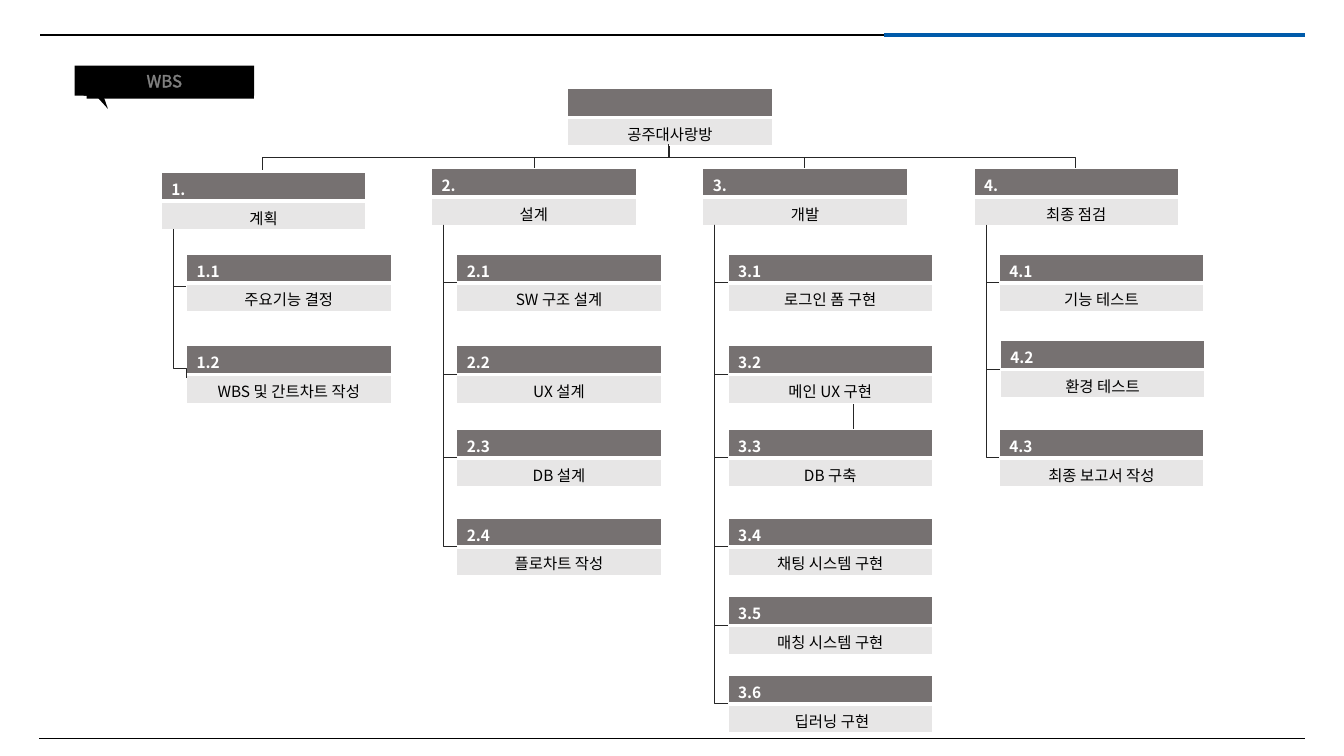
import pptx
import pptx.util
import pptx.dml.color
import pptx.enum.shapes
import pptx.enum.text
import pptx.oxml.ns
from lxml import etree

Inches = pptx.util.Inches
qn = pptx.oxml.ns.qn

FONT = "Noto Sans CJK KR"
BLACK, WHITE, BLUE = "000000", "FFFFFF", "005BAA"
HEAD_GRAY, NAME_GRAY, LINK_GRAY = "767171", "E7E6E6", "262626"

CARD_WIDTH, ROW_HEIGHT = 2.03, 0.285
CHILD_INDENT, TRUNK_OFFSET = 0.25, 0.12
CHILD_TOPS = [2.52, 3.43, 4.26, 5.14, 5.92, 6.70]

# Number, name, left, top, drop from a child's top to its link, children
BRANCHES = [
    ("1", "계획", 1.60, 1.71, 0.32, ["주요기능 결정", "WBS 및 간트차트 작성"]),
    ("2", "설계", 4.28, 1.67, 0.28,
     ["SW 구조 설계", "UX 설계", "DB 설계", "플로차트 작성"]),
    ("3", "개발", 6.97, 1.67, 0.28,
     ["로그인 폼 구현", "메인 UX 구현", "DB 구축", "채팅 시스템 구현",
      "매칭 시스템 구현", " 딥러닝 구현"]),
    ("4", "최종 점검", 9.66, 1.67, 0.28,
     ["기능 테스트", "환경 테스트", "최종 보고서 작성"]),
]
SHIFTED_CARDS = {"4.2": (9.92, 3.38)}
CHAINED_CARDS = {"1.2", "3.6", "4.2", "4.3"}  # linked from the card above
STEPPED_LINKS = {"1.2": 0.9}


def color(hex_text):
    return pptx.dml.color.RGBColor.from_string(hex_text)


def write(text_frame, text, size=11, fill=BLACK, bold=False, align="LEFT"):
    paragraph = text_frame.paragraphs[0]
    paragraph.alignment = getattr(pptx.enum.text.PP_ALIGN, align)
    if not text:
        etree.SubElement(paragraph._p, qn("a:endParaRPr"), sz=str(size * 100))
        return None
    run = paragraph.add_run()
    run.text = text
    run.font.size = pptx.util.Pt(size)
    run.font.bold = bold
    run.font.color.rgb = color(fill)
    run.font.name = FONT
    etree.SubElement(run._r.get_or_add_rPr(), qn("a:ea"), typeface=FONT)
    return run


def add_solid_line(parent, tag, width, fill):
    line = etree.SubElement(parent, qn(tag), w=str(int(pptx.util.Pt(width))))
    solid = etree.SubElement(line, qn("a:solidFill"))
    return etree.SubElement(solid, qn("a:srgbClr"), val=fill)


def style_connector(connector, fill, width):
    connector.line.color.rgb = color(fill)
    connector.line.width = pptx.util.Pt(width)
    etree.SubElement(connector._element.spPr, qn("a:effectLst"))


def add_line(slide, x1, y1, x2, y2, fill, width):
    connector = slide.shapes.add_connector(
        pptx.enum.shapes.MSO_CONNECTOR.STRAIGHT,
        Inches(x1), Inches(y1), Inches(x2), Inches(y2))
    style_connector(connector, fill, width)


def add_elbow(slide, x1, y1, x2, y2, bend=None):
    """Leave downwards; turn once, or twice when a bend fraction is given."""
    center_x, center_y = (x1 + x2) / 2, (y1 + y2) / 2
    half_width, half_height = abs(y2 - y1) / 2, abs(x2 - x1) / 2
    connector = slide.shapes.add_connector(
        pptx.enum.shapes.MSO_CONNECTOR.ELBOW,
        Inches(center_x - half_width), Inches(center_y - half_height),
        Inches(center_x + half_width), Inches(center_y + half_height))
    properties = connector._element.spPr
    frame = properties.find(qn("a:xfrm"))
    frame.set("rot", str((270 if x2 > x1 else 90) * 60000))
    if x2 > x1:
        frame.set("flipH", "1")
    geometry = properties.find(qn("a:prstGeom"))
    if bend is None:
        geometry.set("prst", "bentConnector2")
    else:
        etree.SubElement(geometry.find(qn("a:avLst")), qn("a:gd"),
                         name="adj1", fmla=f"val {round(bend * 100000)}")
    style_connector(connector, LINK_GRAY, 0.5)


def format_cell(cell, fill, border_widths):
    cell.margin_top, cell.margin_bottom = Inches(0.05), 0
    properties = cell._tc.get_or_add_tcPr()
    for side, width in zip("LRTB", border_widths):
        add_solid_line(properties, f"a:ln{side}", width, WHITE)
    cell.fill.solid()
    cell.fill.fore_color.rgb = color(fill)


def add_card(slide, number, name, left, top):
    table = slide.shapes.add_table(
        2, 1, Inches(left), Inches(top),
        Inches(CARD_WIDTH), Inches(2 * ROW_HEIGHT)).table
    table.first_row = table.horz_banding = False
    head, body = table.cell(0, 0), table.cell(1, 0)
    format_cell(head, HEAD_GRAY, (1, 1, 1, 3))
    format_cell(body, NAME_GRAY, (1, 1, 3, 1))
    write(head.text_frame, number, fill=WHITE, bold=True)
    write(body.text_frame, name, align="CENTER")


def paint_black(shape):
    shape.shadow.inherit = False
    shape.fill.solid()
    shape.fill.fore_color.rgb = color(BLACK)
    shape.line.fill.background()


def add_title_label(slide):
    for left, top in [(0.86, 0.70), (0.83, 0.67)]:
        paint_black(slide.shapes.add_shape(
            pptx.enum.shapes.MSO_SHAPE.RECTANGLE,
            Inches(left), Inches(top), Inches(1.66), Inches(0.28)))
    builder = slide.shapes.build_freeform(Inches(0.98), Inches(0.82), scale=1.0)
    builder.add_line_segments(
        [(Inches(0.88), Inches(0.87)), (Inches(1.07), Inches(1.08))], close=True)
    paint_black(builder.convert_to_shape())

    title = slide.shapes.title
    title.left, title.top = Inches(0.74), Inches(0.65)
    title.width, title.height = Inches(1.78), Inches(0.30)
    title.fill.solid()
    title.fill.fore_color.rgb = color(BLACK)
    frame = title.text_frame
    frame.auto_size = pptx.enum.text.MSO_AUTO_SIZE.NONE
    frame.vertical_anchor = pptx.enum.text.MSO_ANCHOR.MIDDLE
    frame.margin_top = frame.margin_bottom = 0
    run = write(frame, "WBS", size=12, fill=WHITE, align="CENTER")
    # Half-transparent outline goes first among the run properties
    properties = run._r.get_or_add_rPr()
    outline_color = add_solid_line(properties, "a:ln", 0.75, WHITE)
    etree.SubElement(outline_color, qn("a:alpha"), val="50000")
    properties.insert(0, properties[-1])
    # Bring the label in front of its backing
    slide.shapes._spTree.append(title._element)


def add_branch(slide, number, name, left, top, link_drop, children):
    add_card(slide, f"{number}.", name, left, top)
    trunk, child_left = left + TRUNK_OFFSET, left + CHILD_INDENT
    head_bottom = top + 0.56
    previous_link = head_bottom
    for index, (child, child_top) in enumerate(zip(children, CHILD_TOPS), 1):
        code = f"{number}.{index}"
        card_left, card_top = SHIFTED_CARDS.get(code, (child_left, child_top))
        add_card(slide, code, child, card_left, card_top)
        link_y = card_top + link_drop
        start = previous_link if code in CHAINED_CARDS else head_bottom
        add_elbow(slide, trunk, start, card_left, link_y,
                  STEPPED_LINKS.get(code))
        previous_link = link_y


def main():
    presentation = pptx.Presentation()
    presentation.slide_width = Inches(13.33)
    presentation.slide_height = Inches(7.5)
    slide = presentation.slides.add_slide(presentation.slide_layouts[5])

    # Page rules and the link between cards 3.2 and 3.3
    add_line(slide, 8.46, 3.52, 8.46, 4.60, LINK_GRAY, 0.5)
    add_line(slide, 0.40, 0.35, 8.77, 0.35, BLACK, 1.5)
    add_line(slide, 8.77, 0.35, 12.94, 0.35, BLUE, 3)
    add_line(slide, 0.39, 7.33, 8.77, 7.33, BLACK, 0.5)
    add_line(slide, 8.77, 7.33, 12.94, 7.33, BLACK, 0.5)
    add_title_label(slide)

    # Work breakdown tree
    add_card(slide, "", "공주대사랑방", 5.63, 0.88)
    for branch in BRANCHES:
        add_branch(slide, *branch)
    add_elbow(slide, 6.63, 1.43, 2.60, 1.69, bend=0.5)
    for branch_center in (5.30, 7.98, 10.67):
        add_elbow(slide, 6.64, 1.45, branch_center, 1.67, bend=0.5)

    presentation.save("out.pptx")


if __name__ == "__main__":
    main()
